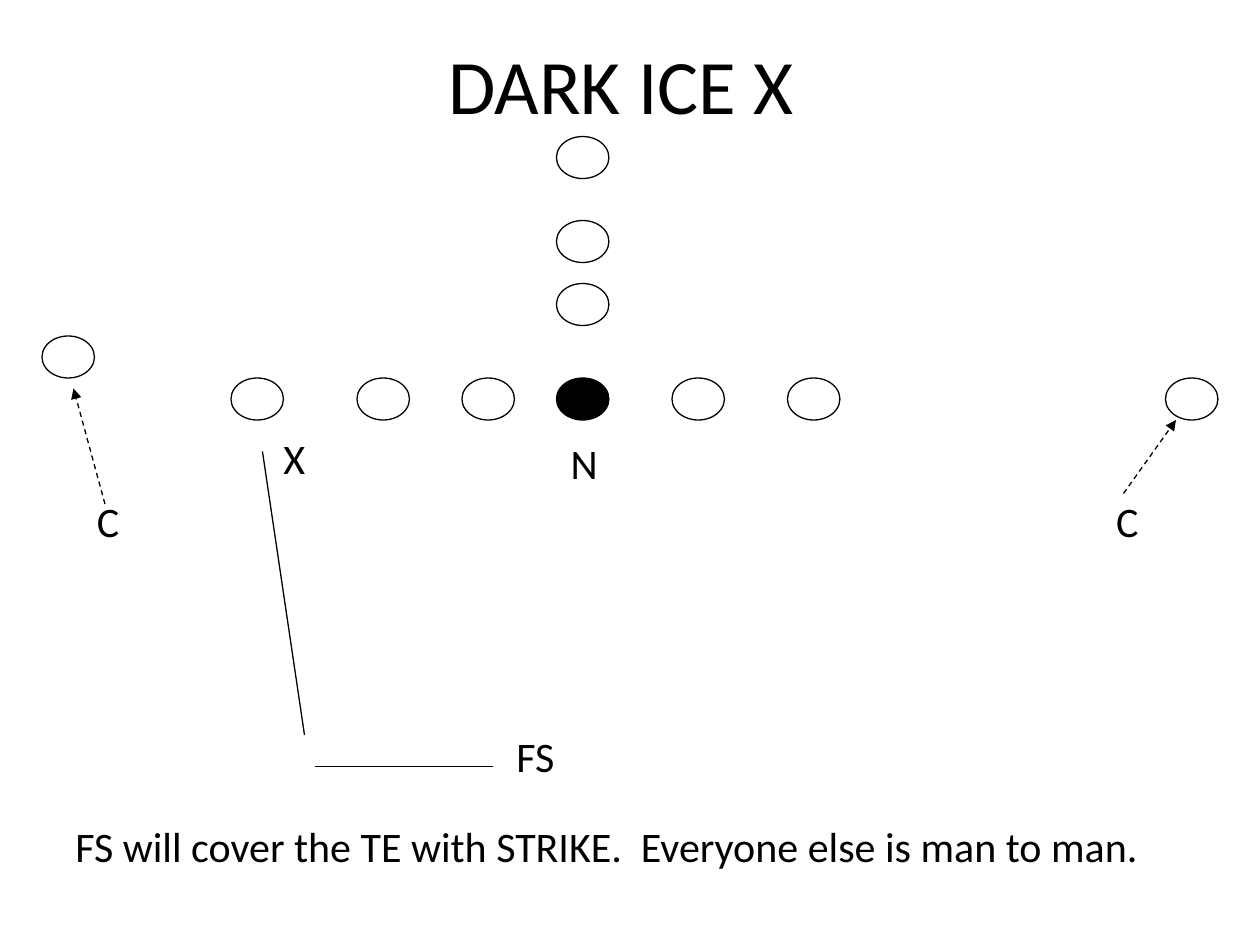
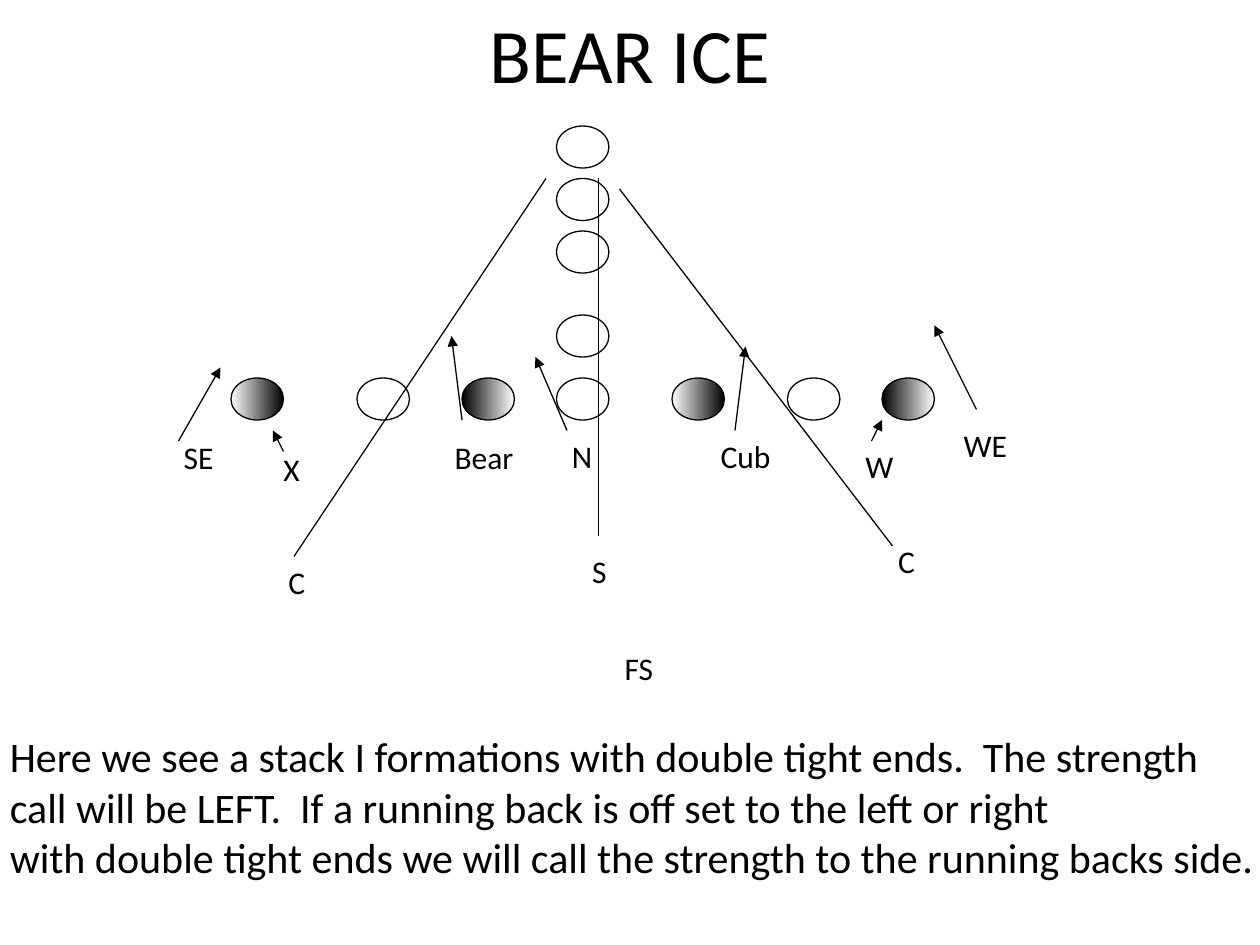
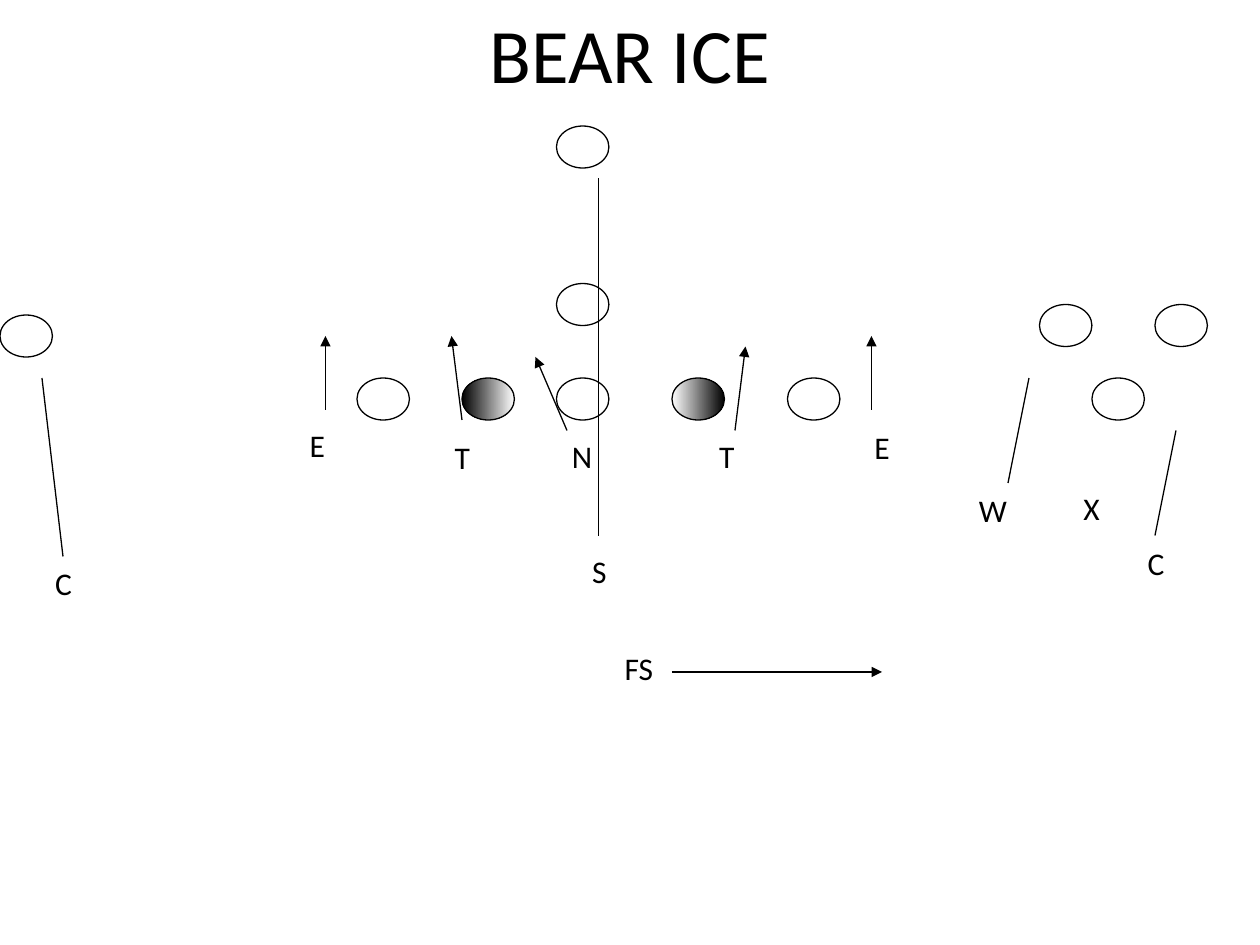
from dataclasses import dataclass

from pptx import Presentation
from pptx.dml.color import RGBColor
from pptx.enum.dml import MSO_LINE_DASH_STYLE as DASH
from pptx.enum.shapes import MSO_CONNECTOR, MSO_SHAPE
from pptx.enum.text import MSO_ANCHOR, MSO_AUTO_SIZE, PP_ALIGN
from pptx.oxml.ns import qn
from pptx.util import Inches, Pt
from lxml.etree import SubElement


@dataclass(frozen=True)
class Theme:
    font: str = "Calibri"
    ink: RGBColor = RGBColor(0, 0, 0)
    paper: RGBColor = RGBColor(255, 255, 255)
    title: int = 44
    note: int = 24
    label: int = 18
    line: float = 0.75


T = Theme()
W, H = 10, 7.5
CELL = W / 120             # the field is 120 columns by 90 rows
PLAYER = (5, 4)            # columns, rows
SCRIMMAGE = 36             # row of the offensive line

# Fills, as colours from left to right
OPEN, BALL = (T.paper,), (T.ink,)
RIGHT, LEFT = (T.paper, T.ink), (T.ink, T.paper)  # dark side of the player

# Line styles: dash, arrowhead
RUSH, COVER, CHASE = (None, True), (None, False), (DASH.DASH, True)

# Label box widths in inches, by type size
LABEL_WIDTHS = {
    24: {"C": 0.38, "N": 0.41, "X": 0.37, "FS": 1},
    18: {"C": 0.33, "WE": 0.6, "W": 0.42, "N": 0.36, "Bear": 0.72, "Cub": 0.65,
         "X": 0.33, "SE": 0.49, "S": 0.31, "FS": 0.45, "E": 0.32, "T": 0.32},
}

# Parts that both Bear slides share
BEAR_LINE = [(53, OPEN), (64, RIGHT), (75, OPEN), (44, LEFT), (34, OPEN)]
BEAR_MOVES = [(54, 41, 51, 34, RUSH), (44, 40, 43, 32, RUSH),
              (70, 41, 71, 33, RUSH), (57, 51, 57, 17, COVER)]
BEAR_LABELS = [("N", 4.44, 3.42), ("S", 4.6, 4.33), ("FS", 4.86, 5.1)]

# line: column, fill; backs: column, row; moves: from, to, style (grid)
# labels: text, left, top; note: left, top, width, height, lines (inches)
PLAYS = [
    dict(
        title="DARK ICE X ", title_box=(0.75, 0.25, 8.5, 0.42), size=T.note,
        line=[(53, BALL)] + [(col, OPEN) for col in (64, 75, 44, 34, 22, 111)],
        backs=[(4, 32), (53, 27), (53, 21), (53, 13)],
        moves=[(10, 48, 7, 37, CHASE), (107, 47, 112, 40, CHASE),
               (47, 73, 30, 73, COVER), (25, 43, 29, 70, COVER)],
        labels=[("C", 0.67, 3.88), ("C", 8.76, 3.88), ("FS", 4, 5.75),
                ("N", 4.43, 3.42), ("X", 2.15, 3.38)],
        note=((0.5, 6.46, 8.66, 0.5),
              ["FS will cover the TE with STRIKE.  Everyone else is man to man."]),
    ),
    dict(
        title="BEAR ICE", title_box=(0.75, 0, 8.5, 1.25), size=T.label,
        line=BEAR_LINE + [(22, RIGHT), (84, LEFT)],
        backs=[(53, 17), (53, 30), (53, 12), (53, 22)],
        moves=BEAR_MOVES + [
            (17, 42, 21, 35, RUSH), (27, 43, 26, 41, RUSH),
            (28, 53, 52, 17, COVER), (85, 52, 59, 18, COVER),
            (83, 42, 84, 40, RUSH), (93, 39, 89, 31, RUSH)],
        labels=BEAR_LABELS + [
            ("C", 7.03, 4.25), ("WE", 7.55, 3.33), ("W", 6.77, 3.5),
            ("Bear", 3.51, 3.43), ("Cub", 5.62, 3.42), ("X", 2.15, 3.52),
            ("SE", 1.36, 3.43), ("C", 2.19, 4.42)],
        note=((-0.02, 5.75, 10.1, 1.3),
              ["Here we see a stack I formations with double tight ends.  The strength",
               "call will be LEFT.  If a running back is off set to the left or right",
               "with double tight ends we will call the strength to the running backs side."]),
    ),
    dict(
        title="BEAR ICE", title_box=(0.75, 0, 8.5, 1.25), size=T.label,
        line=BEAR_LINE + [(104, OPEN)],
        backs=[(110, 29), (53, 27), (53, 12), (0, 30), (99, 29)],
        moves=BEAR_MOVES + [
            (110, 51, 112, 41, COVER), (6, 53, 4, 36, COVER),
            (96, 46, 98, 36, COVER), (31, 39, 31, 32, RUSH),
            (83, 39, 83, 32, RUSH), (64, 64, 84, 64, RUSH)],
        labels=BEAR_LABELS + [
            ("C", 9.01, 4.27), ("W", 7.67, 3.85), ("E", 6.84, 3.35),
            ("T", 3.51, 3.43), ("T", 5.61, 3.42), ("X", 8.5, 3.83),
            ("E", 2.36, 3.33), ("C", 0.34, 4.43)],
        note=None,
    ),
]


def grid(*cells):
    return [Inches(c * CELL) for c in cells]


def style_line(line):
    line.color.rgb = T.ink
    line.width = Pt(T.line)


def add_player(s, col, row, colors):
    sp = s.shapes.add_shape(MSO_SHAPE.OVAL, *grid(col, row, *PLAYER))
    sp.shadow.inherit = False
    style_line(sp.line)
    if len(colors) == 1:
        sp.fill.solid()
        sp.fill.fore_color.rgb = colors[0]
    else:
        sp.fill.gradient()
        sp.fill.gradient_angle = 0
        for stop, color in zip(sp.fill.gradient_stops, colors):
            stop.color.rgb = color


def add_move(s, x1, y1, x2, y2, style):
    dash, arrow = style
    cn = s.shapes.add_connector(MSO_CONNECTOR.STRAIGHT, *grid(x1, y1, x2, y2))
    style_line(cn.line)
    if dash:
        cn.line.dash_style = dash
    if arrow:
        SubElement(cn.line._get_or_add_ln(), qn("a:tailEnd"), type="triangle")
    SubElement(cn._element.spPr, qn("a:effectLst"))


def add_text(s, box, lines, size, align=PP_ALIGN.LEFT, wrap=False):
    tf = s.shapes.add_textbox(*map(Inches, box)).text_frame
    frame = dict(word_wrap=wrap, vertical_anchor=MSO_ANCHOR.TOP,
                 auto_size=MSO_AUTO_SIZE.NONE if wrap else MSO_AUTO_SIZE.SHAPE_TO_FIT_TEXT)
    for name, value in frame.items():
        setattr(tf, name, value)
    for i, text in enumerate(lines):
        p = tf.add_paragraph() if i else tf.paragraphs[0]
        p.alignment = align
        r = p.add_run()
        r.text = text
        for name, value in dict(name=T.font, size=Pt(size)).items():
            setattr(r.font, name, value)
        r.font.color.rgb = T.ink


def add_play(prs, play):
    s = prs.slides.add_slide(prs.slide_layouts[6])
    # Offence
    for col, colors in play["line"]:
        add_player(s, col, SCRIMMAGE, colors)
    for col, row in play["backs"]:
        add_player(s, col, row, OPEN)
    # Defence
    for move in play["moves"]:
        add_move(s, *move)
    size = play["size"]
    height = 0.5 if size == T.note else 0.4
    for text, left, top in play["labels"]:
        add_text(s, (left, top, LABEL_WIDTHS[size][text], height), [text], size)
    # Title and note
    add_text(s, play["title_box"], [play["title"]], T.title, PP_ALIGN.CENTER, wrap=True)
    if play["note"]:
        add_text(s, *play["note"], T.note)


def main():
    prs = Presentation()
    prs.slide_width, prs.slide_height = Inches(W), Inches(H)
    for play in PLAYS:
        add_play(prs, play)
    prs.save("out.pptx")


if __name__ == "__main__":
    main()
